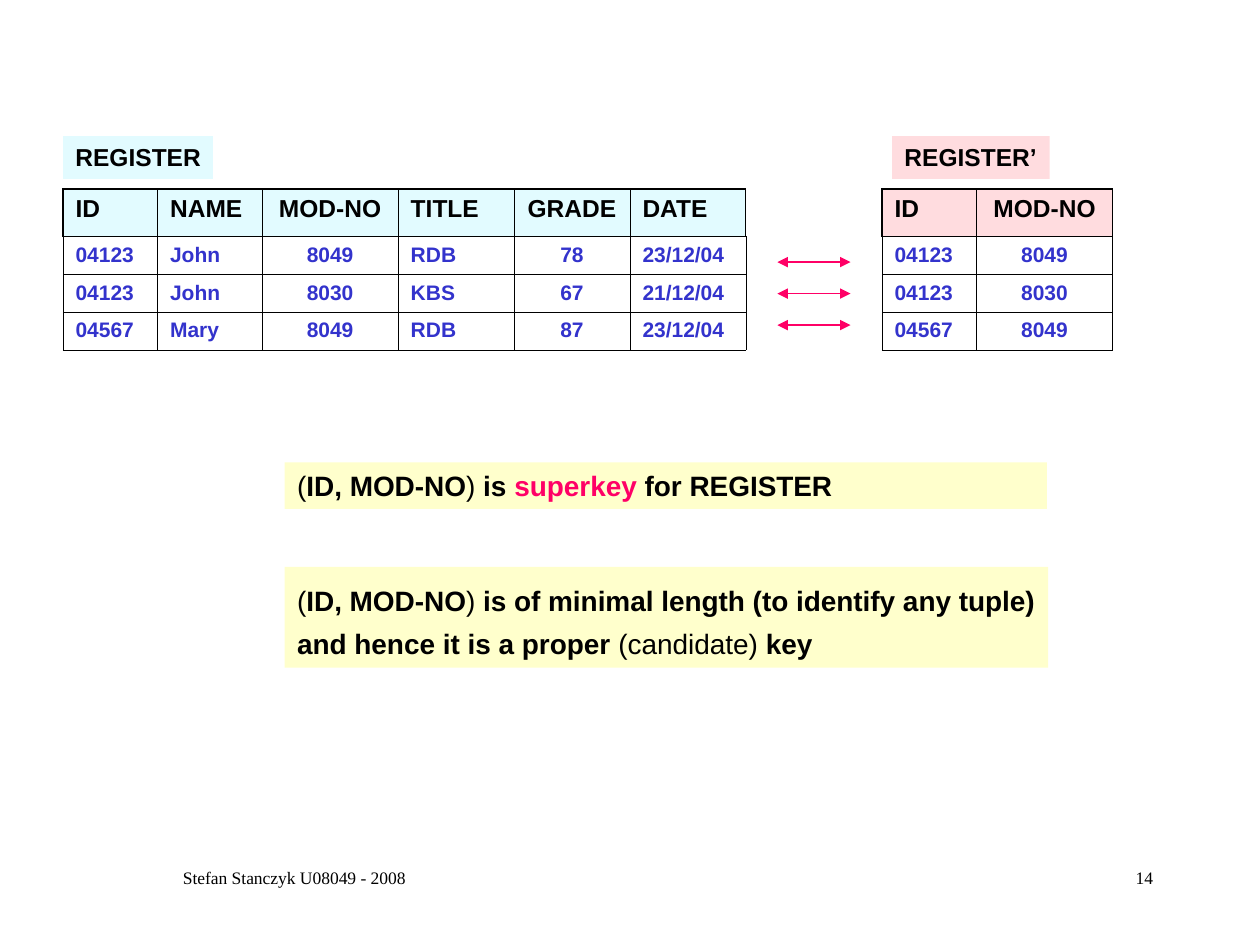
from dataclasses import dataclass

from lxml.etree import SubElement
from pptx import Presentation
from pptx.dml.color import RGBColor
from pptx.enum.shapes import MSO_CONNECTOR, MSO_SHAPE
from pptx.enum.text import MSO_ANCHOR, PP_ALIGN
from pptx.oxml.ns import qn
from pptx.util import Emu, Pt

SCALE = 9144  # EMU in one px, at 100 px to the inch


@dataclass(frozen=True)
class Theme:
    ink: str = "000000"
    data: str = "3333CC"
    pink: str = "FF0066"
    aqua: str = "E2FBFF"
    rose: str = "FFDCDF"
    cream: str = "FFFFCC"
    sans: str = "Arial"
    serif: str = "Times New Roman"
    head: int = 14
    cell: int = 12
    note: int = 16
    foot: int = 10
    thick: float = 0.75
    thin: float = 0.45
    hair: float = 0.11


def px(*nums):
    return [Emu(n * SCALE) for n in nums]


def rgb(code):
    return RGBColor.from_string(code)


def write(par, text, size, font, color, bold=False):
    run = par.add_run()
    run.text = text
    run.font.size = Pt(size)
    run.font.name = font
    run.font.bold = bold
    run.font.color.rgb = rgb(color)


def edge(cell, widths, color):
    """Draw the left, right, top and bottom borders, in that order."""
    props = cell._tc.get_or_add_tcPr()
    for side, width in zip("LRTB", widths):
        line = SubElement(props, qn(f"a:ln{side}"), w=str(Pt(width)))
        fill = SubElement(line, qn("a:solidFill"))
        SubElement(fill, qn("a:srgbClr"), val=color)


class Page:
    def __init__(self, deck, theme):
        self.theme = theme
        self.slide = deck.slides.add_slide(deck.slide_layouts[6])

    def panel(self, box, fill, lines, size, space=None):
        """Add a filled box; each line is a list of (text, format) pairs."""
        look = self.theme
        shape = self.slide.shapes.add_shape(MSO_SHAPE.RECTANGLE, *px(*box))
        shape.shadow.inherit = False
        shape.fill.solid()
        shape.fill.fore_color.rgb = rgb(fill)
        shape.line.fill.background()
        frame = shape.text_frame
        frame.word_wrap = False
        frame.vertical_anchor = MSO_ANCHOR.TOP
        for num, line in enumerate(lines):
            par = frame.add_paragraph() if num else frame.paragraphs[0]
            par.alignment = PP_ALIGN.LEFT
            par.line_spacing = space
            for text, form in line:
                write(par, text, **{"size": size, "font": look.sans,
                                    "color": look.ink, **form})

    def table(self, left, top, cols, rows, fill):
        """Add a table; cols maps each heading to its width and alignment."""
        look = self.theme
        wide = [width for width, _ in cols.values()]
        high = [38] + [30] * len(rows)
        frame = self.slide.shapes.add_table(
            len(high), len(wide), *px(left, top, sum(wide), sum(high)))
        grid = frame.table
        grid.first_row = grid.horz_banding = False
        for col, width in zip(grid.columns, px(*wide)):
            col.width = width
        for row, height in zip(grid.rows, px(*high)):
            row.height = height
        for r, row in enumerate([list(cols), *rows]):
            for c, (text, (_, align)) in enumerate(zip(row, cols.values())):
                self.fill_cell(grid, r, c, text, align, fill)

    def fill_cell(self, grid, r, c, text, align, fill):
        look = self.theme
        cell = grid.cell(r, c)
        top = r == 0
        side = look.thick if top else look.hair
        last = r == len(grid.rows) - 1
        edge(cell, (side if c == 0 else look.thin,
                    side if c == len(grid.columns) - 1 else look.thin,
                    look.thick if r < 2 else look.thin,
                    look.thick if top else look.hair if last else look.thin),
             look.ink)
        if top:
            cell.fill.solid()
            cell.fill.fore_color.rgb = rgb(fill)
        else:
            cell.fill.background()
        par = cell.text_frame.paragraphs[0]
        par.alignment = align
        write(par, text, look.head if top else look.cell, look.sans,
              look.ink if top else look.data, bold=True)

    def arrow(self, left, right, y):
        look = self.theme
        link = self.slide.shapes.add_connector(
            MSO_CONNECTOR.STRAIGHT, *px(left, y, right, y))
        link.line.color.rgb = rgb(look.pink)
        link.line.width = Pt(look.thick)
        line = link.line._get_or_add_ln()
        for end in ("headEnd", "tailEnd"):
            SubElement(line, qn(f"a:{end}"), type="triangle")
        SubElement(link._element.spPr, qn("a:effectLst"))

    def foot(self, box, text, align):
        look = self.theme
        frame = self.slide.shapes.add_textbox(*px(*box)).text_frame
        frame.word_wrap = True
        par = frame.paragraphs[0]
        par.alignment = align
        write(par, text, look.foot, look.serif, look.ink)


def main():
    deck = Presentation()
    deck.slide_width, deck.slide_height = px(1000, 750)
    look = Theme()
    page = Page(deck, look)
    left, mid, right = PP_ALIGN.LEFT, PP_ALIGN.CENTER, PP_ALIGN.RIGHT
    bold = {"bold": True}

    cols = {"ID": (75, left), "NAME": (83, left), "MOD-NO": (108, mid),
            "TITLE": (92, left), "GRADE": (92, mid), "DATE": (92, left)}
    rows = [
        ["04123", "John", "8049", "RDB", "78", "23/12/04"],
        ["04123", "John", "8030", "KBS", "67", "21/12/04"],
        ["04567", "Mary", "8049", "RDB", "87", "23/12/04"],
    ]
    keys = {name: cols[name] for name in ("ID", "MOD-NO")}
    pairs = [[row[0], row[2]] for row in rows]

    page.table(50, 150, cols, rows, look.aqua)
    page.panel((50, 108, 119, 34), look.aqua, [[("REGISTER", bold)]],
               look.head)
    page.table(700, 150, keys, pairs, look.rose)
    page.panel((708, 108, 125, 34), look.rose, [[("REGISTER’", bold)]],
               look.head)
    for num in range(len(rows)):
        page.arrow(617, 675, 208 + 25 * num)

    key = [("(", {}), ("ID, MOD-NO", bold), (")", {})]
    page.panel((226, 367, 605, 37), look.cream, [
        key + [(" is ", bold), ("superkey", {"color": look.pink, **bold}),
               (" for REGISTER", bold)],
    ], look.note)
    page.panel((226, 450, 606, 80), look.cream, [
        key + [(" is of minimal length (to identify any tuple)", bold)],
        [("and hence it is a proper ", bold), ("(candidate)", {}),
         (" key", bold)],
    ], look.note, space=1.3)

    page.foot((75, 683, 317, 50), "Stefan Stanczyk U08049 - 2008", mid)
    page.foot((717, 683, 208, 50), "14", right)
    deck.save("out.pptx")


if __name__ == "__main__":
    main()
